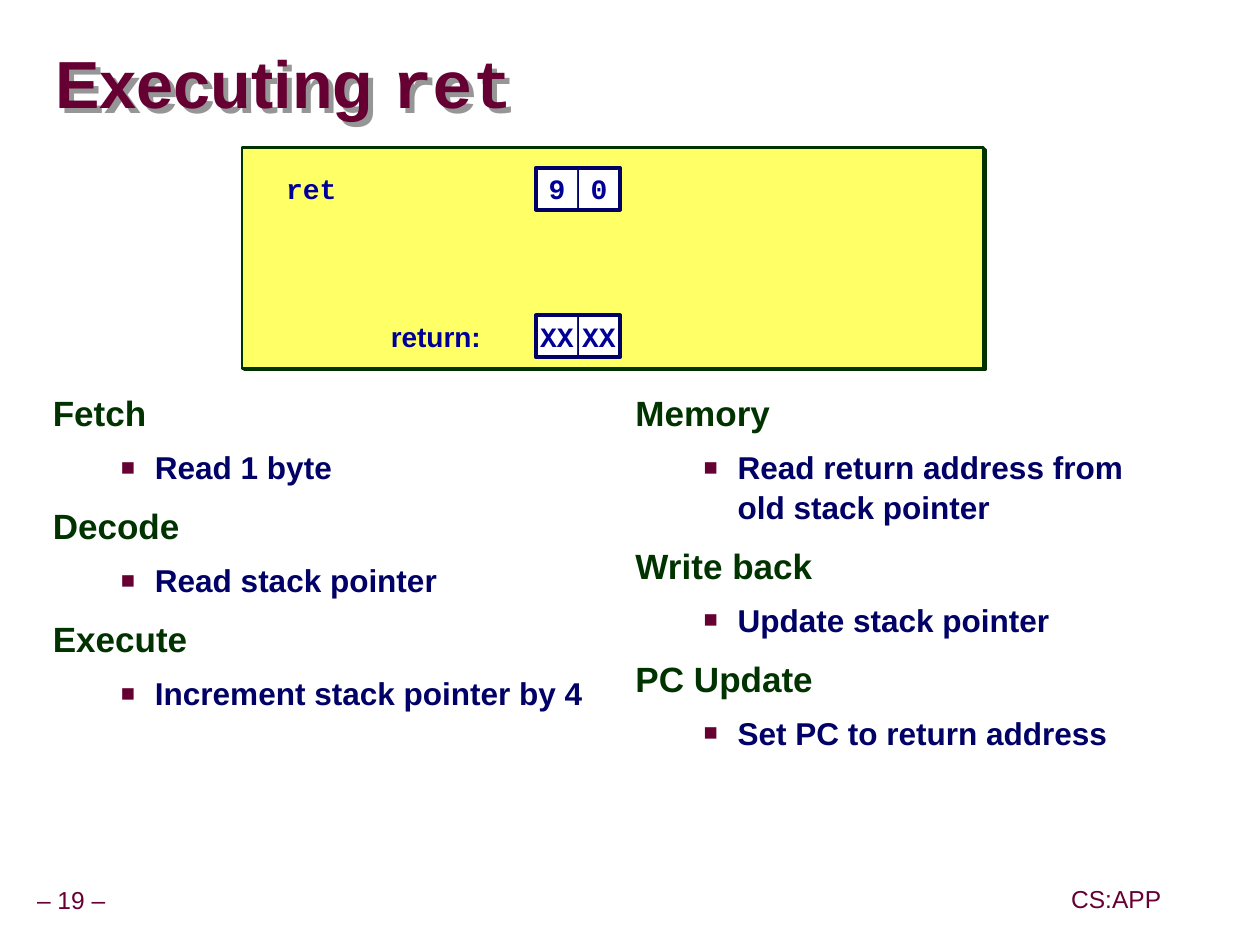
from lxml import etree
from pptx import Presentation
from pptx.dml.color import RGBColor
from pptx.enum.shapes import MSO_SHAPE
from pptx.enum.text import MSO_ANCHOR, PP_ALIGN
from pptx.oxml.ns import qn
from pptx.util import Inches, Pt

RECTANGLE = MSO_SHAPE.RECTANGLE
MIDDLE, TOP = MSO_ANCHOR.MIDDLE, MSO_ANCHOR.TOP
LEFT, CENTER = PP_ALIGN.LEFT, PP_ALIGN.CENTER
SANS, MONO = "Arial", "Courier New"
MAROON, GREEN, NAVY, BLUE = "660033", "003300", "000066", "000099"
YELLOW, WHITE, GRAY = "FFFF66", "FFFFFF", "969696"

TITLE = [("Executing ", SANS), ("ret", MONO)]
FOOTERS = [("– 19 –", -0.09, 6.99, 1.31), ("CS:APP", 8.44, 6.98, 0.82)]
CODE_ROWS = [
    ("ret", MONO, 2.17, 1.33, ("9", "0")),
    ("return:", SANS, 3, 2.5, ("XX", "XX")),
]
STAGES = [
    (0.32, [
        ("Fetch", "Read 1 byte"),
        ("Decode", "Read stack pointer"),
        ("Execute", "Increment stack pointer by 4"),
    ]),
    (4.94, [
        ("Memory", "Read return address from old stack pointer"),
        ("Write back", "Update stack pointer"),
        ("PC Update", "Set PC to return address"),
    ]),
]
BYTES_LEFT, BYTE_SIZE = 4.25, 0.333


def color(value):
    return RGBColor.from_string(value)


def set_font(font, name, size, value, bold=True):
    font.name, font.size, font.bold = name, Pt(size), bold
    font.color.rgb = color(value)


def set_frame(shape, anchor, inset=(0.1, 0.05), wrap=True):
    frame = shape.text_frame
    frame.margin_left = frame.margin_right = Inches(inset[0])
    frame.margin_top = frame.margin_bottom = Inches(inset[1])
    frame.vertical_anchor = anchor
    frame.word_wrap = wrap
    return frame


def add_text_box(page, left, top, width, height):
    return page.shapes.add_textbox(
        Inches(left), Inches(top), Inches(width), Inches(height))


def set_line_of_text(frame, text, align, name, size, value, bold=True):
    para = frame.paragraphs[0]
    para.text, para.alignment = text, align
    set_font(para.font, name, size, value, bold)


def add_rectangle(page, left, top, width, height, fill, line, weight):
    box = page.shapes.add_shape(
        RECTANGLE, Inches(left), Inches(top), Inches(width), Inches(height))
    box.shadow.inherit = False
    if fill:
        box.fill.solid()
        box.fill.fore_color.rgb = color(fill)
    else:
        box.fill.background()
    box.line.color.rgb = color(line)
    box.line.width = Pt(weight)
    return box


def add_shadow(shape, value, distance):
    shape.shadow.inherit = False
    effects = shape.element.spPr.find(qn("a:effectLst"))
    shadow = etree.SubElement(effects, qn("a:outerShdw"), dist=str(Pt(distance)),
                              dir="2700000", algn="ctr", rotWithShape="0")
    etree.SubElement(shadow, qn("a:srgbClr"), val=value)


def add_bullet(para):
    props = para._p.get_or_add_pPr()
    props.set("marL", str(Inches(0.81)))
    props.set("indent", str(Inches(-0.27)))
    bullet_color = etree.SubElement(props, qn("a:buClr"))
    etree.SubElement(bullet_color, qn("a:srgbClr"), val=MAROON)
    etree.SubElement(props, qn("a:buSzPct"), val="75000")
    etree.SubElement(props, qn("a:buFont"), typeface=SANS)
    etree.SubElement(props, qn("a:buChar"), char="■")


def add_title(page):
    box = add_text_box(page, 0.44, 0.27, 9.52, 0.85)
    para = set_frame(box, MIDDLE, (0, 0)).paragraphs[0]
    para.line_spacing = 0.87
    for text, name in TITLE:
        span = para.add_run()
        span.text = text
        set_font(span.font, name, 38, MAROON)
    add_shadow(box, GRAY, 4)


def add_stages(page, left, stages):
    frame = set_frame(add_text_box(page, left, 3.08, 4.45, 3.95), TOP)
    for index, (stage, action) in enumerate(stages):
        heading = frame.add_paragraph() if index else frame.paragraphs[0]
        heading.text = stage
        heading.line_spacing = 0.95
        heading.space_before = Pt(12.5 if index else 0)
        set_font(heading.font, SANS, 20, GREEN)
        detail = frame.add_paragraph()
        detail.text = action
        detail.level = 1
        detail.line_spacing = 1.05
        detail.space_before = Pt(6.5)
        add_bullet(detail)
        set_font(detail.font, SANS, 18, NAVY)


def add_code_row(page, label, name, left, top, values):
    box = add_text_box(page, left, top, BYTES_LEFT - left, BYTE_SIZE)
    set_line_of_text(set_frame(box, MIDDLE), label, LEFT, name, 16, BLUE)
    for index, value in enumerate(values):
        cell = add_rectangle(page, BYTES_LEFT + index * BYTE_SIZE, top,
                             BYTE_SIZE, BYTE_SIZE, WHITE, NAVY, 0.5)
        frame = set_frame(cell, MIDDLE, wrap=False)
        set_line_of_text(frame, value, CENTER, MONO, 16, BLUE)
    add_rectangle(page, BYTES_LEFT, top, BYTE_SIZE * len(values), BYTE_SIZE,
                  None, NAVY, 2.25)


def main():
    deck = Presentation()
    deck.slide_width, deck.slide_height = Inches(9.99), Inches(7.49)
    page = deck.slides.add_slide(deck.slide_layouts[6])
    for text, left, top, width in FOOTERS:
        box = add_text_box(page, left, top, width, 0.31)
        frame = set_frame(box, MIDDLE, (0.05, 0.05), wrap=False)
        set_line_of_text(frame, text, CENTER, SANS, 14, MAROON, False)
        frame.paragraphs[0].line_spacing = 0.9
    add_title(page)
    for left, stages in STAGES:
        add_stages(page, left, stages)
    panel = add_rectangle(page, 1.92, 1.17, 5.88, 1.75, YELLOW, GREEN, 1.5)
    add_shadow(panel, GREEN, 1.4)
    for row in CODE_ROWS:
        add_code_row(page, *row)
    deck.save("out.pptx")


if __name__ == "__main__":
    main()
